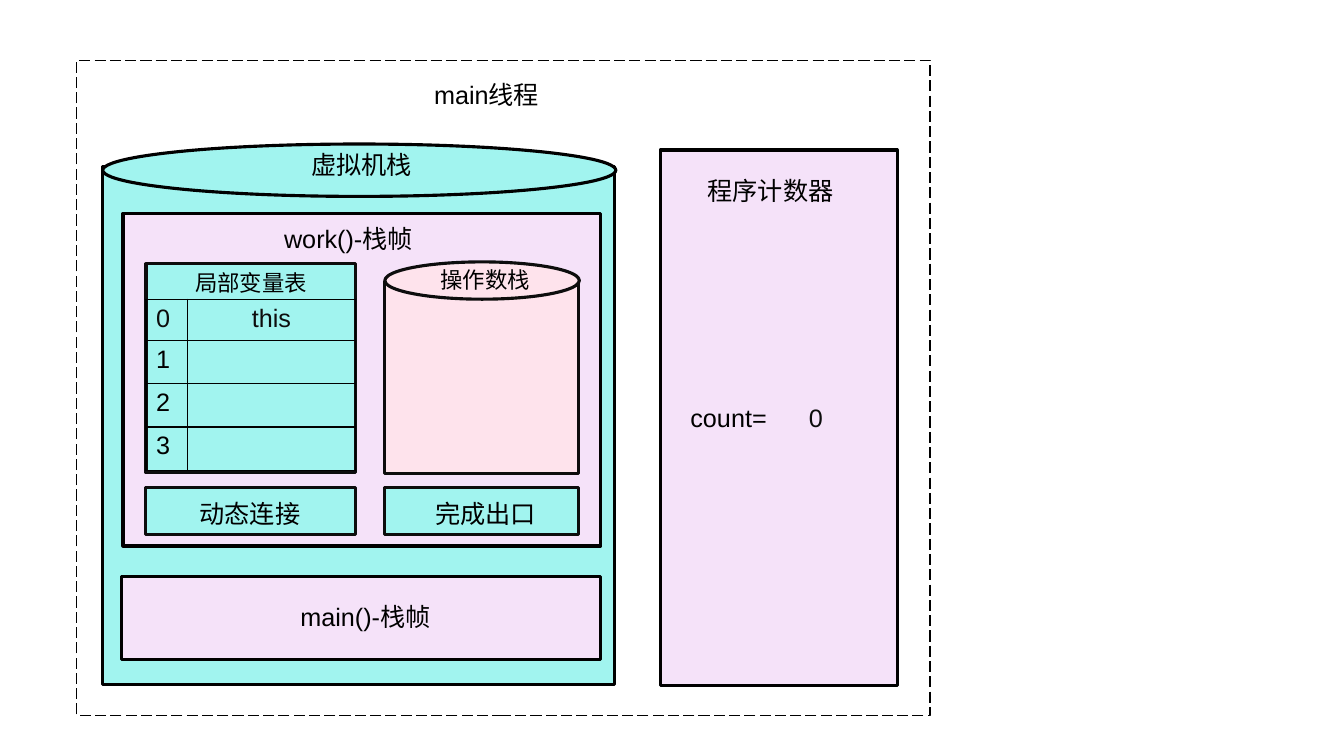
"""Builds a slide showing the virtual machine stack and program counter of a main thread."""
from lxml import etree
from pptx import Presentation
from pptx.dml.color import RGBColor
from pptx.enum.dml import MSO_LINE
from pptx.enum.shapes import MSO_SHAPE
from pptx.enum.text import MSO_ANCHOR, MSO_AUTO_SIZE, PP_ALIGN
from pptx.oxml.ns import qn
from pptx.util import Cm, Pt

RECT, OVAL = MSO_SHAPE.RECTANGLE, MSO_SHAPE.OVAL
DASH, CENTER, MIDDLE = MSO_LINE.LONG_DASH, PP_ALIGN.CENTER, MSO_ANCHOR.MIDDLE
FIT = MSO_AUTO_SIZE.SHAPE_TO_FIT_TEXT
FONT = "Arial"
COLORS = {"aqua": "A1F4EF", "lilac": "F5E2F9", "pink": "FEE3EC",
          "black": "000000", "ink": "0D0D0D"}

COUNTER = (16.64, 3.78, 5.97, 13.49)
COUNT_VALUE = (19.81, 9.78, 1.5, 1.5)
THREAD = (1.93, 1.52, 21.51, 16.51)
STACK_PARTS = [
    (RECT, (2.59, 4.19, 12.9, 13.06), "aqua", "black"),
    (OVAL, (2.59, 3.63, 12.93, 1.32), "aqua", "black"),
    (RECT, (3.1, 5.38, 12.04, 8.38), "lilac", "black"),
    (RECT, (3.07, 14.53, 12.07, 2.08), "lilac", "black"),
    (RECT, (3.68, 6.65, 5.28, 5.26), "aqua", "ink"),
    (RECT, (3.66, 12.29, 5.31, 1.17), "aqua", "ink"),
    (RECT, (9.7, 12.29, 4.88, 1.17), "aqua", "ink"),
    (RECT, (9.7, 7.09, 4.88, 4.85), "pink", "ink"),
    (OVAL, (9.7, 6.6, 4.9, 0.94), "pink", "ink"),
]
LABELS = [
    ("main线程", 10.69, 1.88, 3.99, 18),
    ("虚拟机栈", 7.59, 3.63, 3.4, 18),
    ("程序计数器", 17.58, 4.29, 4.04, 18),
    ("局部变量表", 4.67, 6.65, 3.78, 16),
    ("动态连接", 4.78, 12.42, 3.38, 18),
    ("完成出口", 10.72, 12.42, 3.38, 18),
    ("操作数栈", 10.85, 6.58, 3.18, 16),
    ("count=", 17.15, 10.01, 3.15, 18),
    ("main()-栈帧", 7.32, 15.04, 4.75, 18),
    ("work()-栈帧", 6.91, 5.51, 4.75, 18),
]
VARIABLES = [("0", "this"), ("1", ""), ("2", ""), ("3", "")]
VARIABLES_AT = (3.68, 7.54)
COLUMN_WIDTHS = (1.04, 4.24)
ROW_HEIGHTS = (1.04, 1.09, 1.09, 1.09)


def color(name):
    return RGBColor.from_string(COLORS[name])


def write(frame, text, size=18, ink="black", align=None):
    para = frame.paragraphs[0]
    para.text = text
    para.alignment = align
    for span in para.runs:
        span.font.size = Pt(size)
        span.font.name = FONT
        span.font.color.rgb = color(ink)


def add_box(page, kind, place, fill=None, line=None, width=2.25):
    box = page.shapes.add_shape(kind, *map(Cm, place))
    box.shadow.inherit = False
    if fill:
        box.fill.solid()
        box.fill.fore_color.rgb = color(fill)
    else:
        box.fill.background()
    if line:
        box.line.color.rgb = color(line)
        box.line.width = Pt(width)
    else:
        box.line.fill.background()
    return box


def add_label(page, text, left, top, width, size):
    height = 1.02 if size == 18 else 0.94
    frame = page.shapes.add_textbox(*map(Cm, (left, top, width, height))).text_frame
    frame.word_wrap = True
    frame.auto_size = FIT
    write(frame, text, size)


def add_borders(cell):
    properties = cell._tc.get_or_add_tcPr()
    for side in ("a:lnL", "a:lnR", "a:lnT", "a:lnB"):
        border = etree.SubElement(properties, qn(side), w=str(Pt(1)))
        solid = etree.SubElement(border, qn("a:solidFill"))
        etree.SubElement(solid, qn("a:srgbClr"), val=COLORS["black"])


def add_variables(page):
    size = (sum(COLUMN_WIDTHS), sum(ROW_HEIGHTS))
    table = page.shapes.add_table(len(VARIABLES), len(COLUMN_WIDTHS),
                                  *map(Cm, VARIABLES_AT + size)).table
    table.first_row = table.horz_banding = False
    for column, width in zip(table.columns, COLUMN_WIDTHS):
        column.width = Cm(width)
    for index, (height, values) in enumerate(zip(ROW_HEIGHTS, VARIABLES)):
        table.rows[index].height = Cm(height)
        ink = "black" if index else "ink"
        for cell, value, align in zip(table.rows[index].cells, values, (None, CENTER)):
            add_borders(cell)
            cell.fill.background()
            write(cell.text_frame, value, 18, ink, align)


deck = Presentation()
deck.slide_width, deck.slide_height = Cm(33.87), Cm(19.05)
page = deck.slides.add_slide(deck.slide_layouts[6])

add_box(page, RECT, COUNTER, "lilac", "black")
count_box = add_box(page, RECT, COUNT_VALUE, "lilac")
count_box.text_frame.vertical_anchor = MIDDLE
write(count_box.text_frame, "0", ink="ink", align=CENTER)
add_box(page, RECT, THREAD, line="black", width=1).line.dash_style = DASH
for part in STACK_PARTS:
    add_box(page, *part)
add_variables(page)
for label in LABELS:
    add_label(page, *label)

deck.save("out.pptx")
